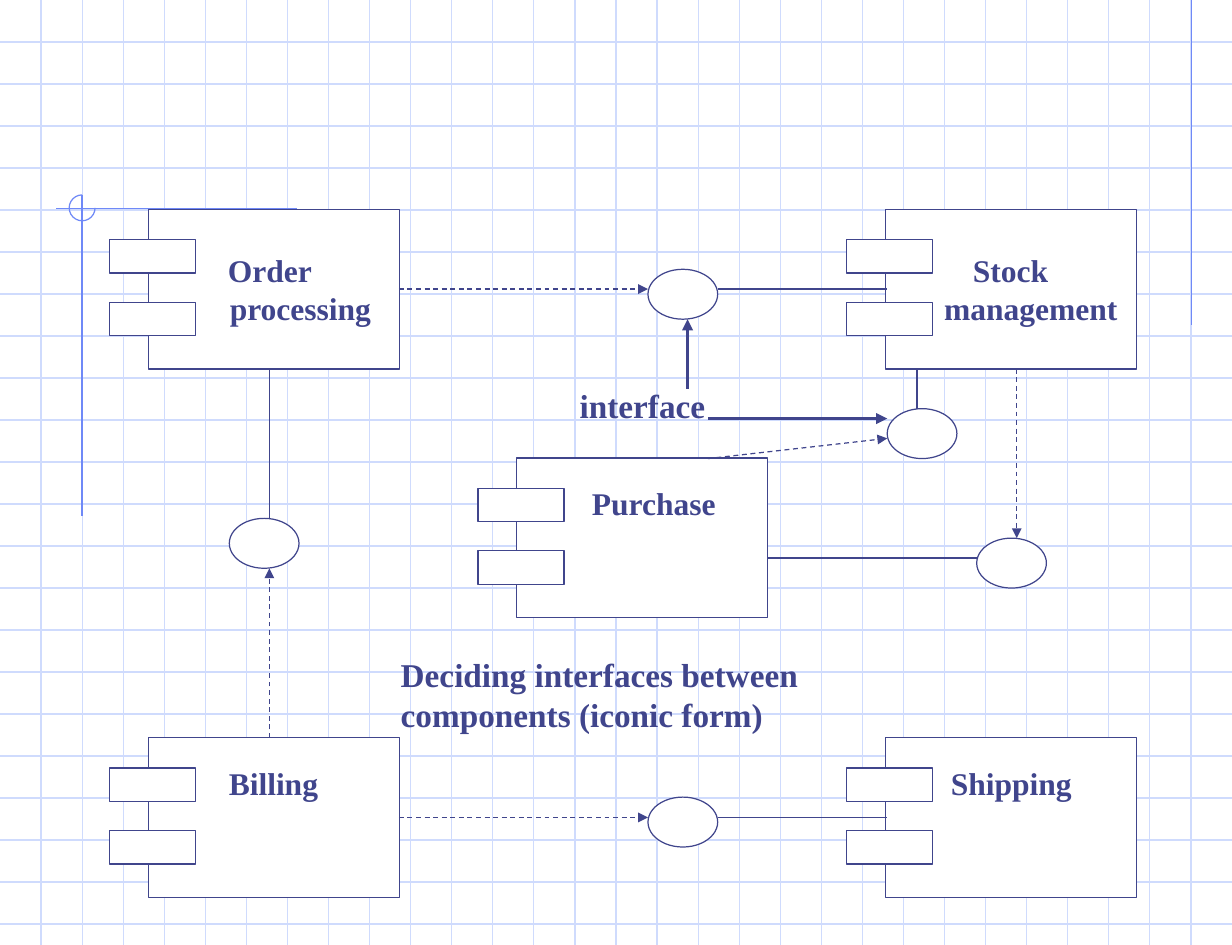
from lxml import etree
from pptx import Presentation
from pptx import util as u
from pptx.dml.color import RGBColor
from pptx.enum import dml, shapes, text
from pptx.oxml import ns

WIDTH, HEIGHT = 26.16, 20.07
INK = RGBColor(0x40, 0x45, 0x8C)
WHITE = RGBColor(0xFF, 0xFF, 0xFF)
GRID = RGBColor(0xCF, 0xDB, 0xFD)
RULER = RGBColor(0x6F, 0x89, 0xF7)


class Diagram:
    """Draws on one page; all positions are in centimetres."""

    font = "Times New Roman"
    component_size = 5.33, 3.39
    tab_size = 1.83, 0.71
    tab_shift = -0.82
    tab_drops = 0.64, 1.97
    interface_size = 1.48, 1.06

    def __init__(self, page):
        self.page = page

    def line(self, start, end, color=INK, weight=0.75, dashed=False,
             arrow=False, parent=None):
        canvas = (parent or self.page).shapes
        points = [u.Cm(value) for value in (*start, *end)]
        line = canvas.add_connector(shapes.MSO_CONNECTOR.STRAIGHT, *points)
        line.line.color.rgb = color
        line.line.width = u.Pt(weight)
        if dashed:
            line.line.dash_style = dml.MSO_LINE.DASH
        properties = line._element.spPr
        if arrow:
            outline = properties.find(ns.qn("a:ln"))
            etree.SubElement(outline, ns.qn("a:tailEnd"), type="triangle")
        etree.SubElement(properties, ns.qn("a:effectLst"))

    def shape(self, kind, at, size, color=INK, filled=True, parent=None):
        canvas = (parent or self.page).shapes
        frame = [u.Cm(value) for value in (*at, *size)]
        shape = canvas.add_shape(kind, *frame)
        shape.shadow.inherit = False
        if filled:
            shape.fill.solid()
            shape.fill.fore_color.rgb = WHITE
        else:
            shape.fill.background()
        shape.line.color.rgb = color
        shape.line.width = u.Pt(0.75)
        return shape

    def style(self, para, size):
        para.alignment = text.PP_ALIGN.LEFT
        for span in para.runs:
            span.font.name = self.font
            span.font.size = u.Pt(size)
            span.font.bold = True
            span.font.color.rgb = INK

    def component(self, at, label, indents):
        group = self.page.shapes.add_group_shape()
        rectangle = shapes.MSO_SHAPE.RECTANGLE
        body = self.shape(rectangle, at, self.component_size, parent=group)
        for drop in self.tab_drops:
            corner = at[0] + self.tab_shift, at[1] + drop
            self.shape(rectangle, corner, self.tab_size, parent=group)
        frame = body.text_frame
        frame.word_wrap = True
        frame.text = label
        if len(indents) > 1:
            frame.vertical_anchor = text.MSO_ANCHOR.MIDDLE
        else:
            frame.vertical_anchor = text.MSO_ANCHOR.TOP
            frame.margin_top = u.Cm(0.55)
        for para, indent in zip(frame.paragraphs, indents):
            para._p.get_or_add_pPr().set("marL", str(u.Cm(indent)))
            self.style(para, 19)

    def interface(self, at):
        self.shape(shapes.MSO_SHAPE.OVAL, at, self.interface_size)

    def caption(self, at, size, words):
        box = self.page.shapes.add_textbox(*[u.Cm(v) for v in (*at, *size)])
        box.text_frame.word_wrap = True
        box.text_frame.text = words
        self.style(box.text_frame.paragraphs[0], 20)

    def grid(self):
        group = self.page.shapes.add_group_shape()
        row, column = HEIGHT / 22.5, WIDTH / 30
        for number in range(1, 23):
            y = number * row
            self.line((0, y), (WIDTH, y), GRID, parent=group)
        for number in range(1, 30):
            x = number * column
            self.line((x, 0), (x, HEIGHT), GRID, parent=group)

    def rulers(self):
        self.line((25.3, 0), (25.3, 6.91), RULER)
        self.line((6.3, 4.42), (1.19, 4.42), RULER)
        self.line((1.74, 4.14), (1.74, 10.95), RULER)
        arc = self.shape(shapes.MSO_SHAPE.ARC, (1.47, 4.14), (0.55, 0.55),
                         RULER, filled=False)
        # Three quarters of a circle: 0 to 270 degrees
        arc.adjustments[0] = 0
        arc.adjustments[1] = 162


def main():
    deck = Presentation()
    deck.slide_width, deck.slide_height = u.Cm(WIDTH), u.Cm(HEIGHT)
    diagram = Diagram(deck.slides.add_slide(deck.slide_layouts[6]))

    # Squared-paper background
    diagram.grid()
    diagram.rulers()

    # Components, with the left indent of each label line
    for at, label, indents in [
        ((3.15, 4.45), "Order\nprocessing", (1.44, 1.48)),
        ((18.8, 4.45), "Stock\nmanagement", (1.61, 1)),
        ((3.15, 15.67), "Billing", (1.46,)),
        ((18.8, 15.67), "Shipping", (1.14,)),
        ((10.97, 9.73), "Purchase", (1.35,)),
    ]:
        diagram.component(at, label, indents)

    # Interfaces
    for at in [(13.76, 5.72), (18.84, 8.68), (4.87, 11.01),
               (20.74, 11.43), (13.76, 16.93)]:
        diagram.interface(at)

    # Components providing an interface
    for start, end in [
        ((15.24, 6.14), (18.84, 6.14)),
        ((19.47, 7.83), (19.47, 8.68)),
        ((15.24, 17.36), (18.84, 17.36)),
        ((5.72, 11.01), (5.72, 7.83)),
        ((16.3, 11.85), (20.74, 11.85)),
    ]:
        diagram.line(start, end)

    # Components using an interface
    for start, end in [
        ((8.47, 6.14), (13.76, 6.14)),
        ((21.59, 7.83), (21.59, 11.43)),
        ((8.47, 17.36), (13.76, 17.36)),
        ((5.72, 15.67), (5.72, 12.07)),
        ((15.03, 9.74), (18.84, 9.31)),
    ]:
        diagram.line(start, end, dashed=True, arrow=True)

    # Pointers from the word "interface"
    diagram.line((14.6, 8.26), (14.6, 6.78), weight=2.25, arrow=True)
    diagram.line((15.03, 8.89), (18.84, 8.89), weight=2.25, arrow=True)

    # Captions
    diagram.caption((12.06, 8.05), (3.81, 1.12), "interface")
    diagram.caption((8.26, 13.77), (9.96, 1.96),
                    "Deciding interfaces between components (iconic form)")

    deck.save("out.pptx")


if __name__ == "__main__":
    main()
